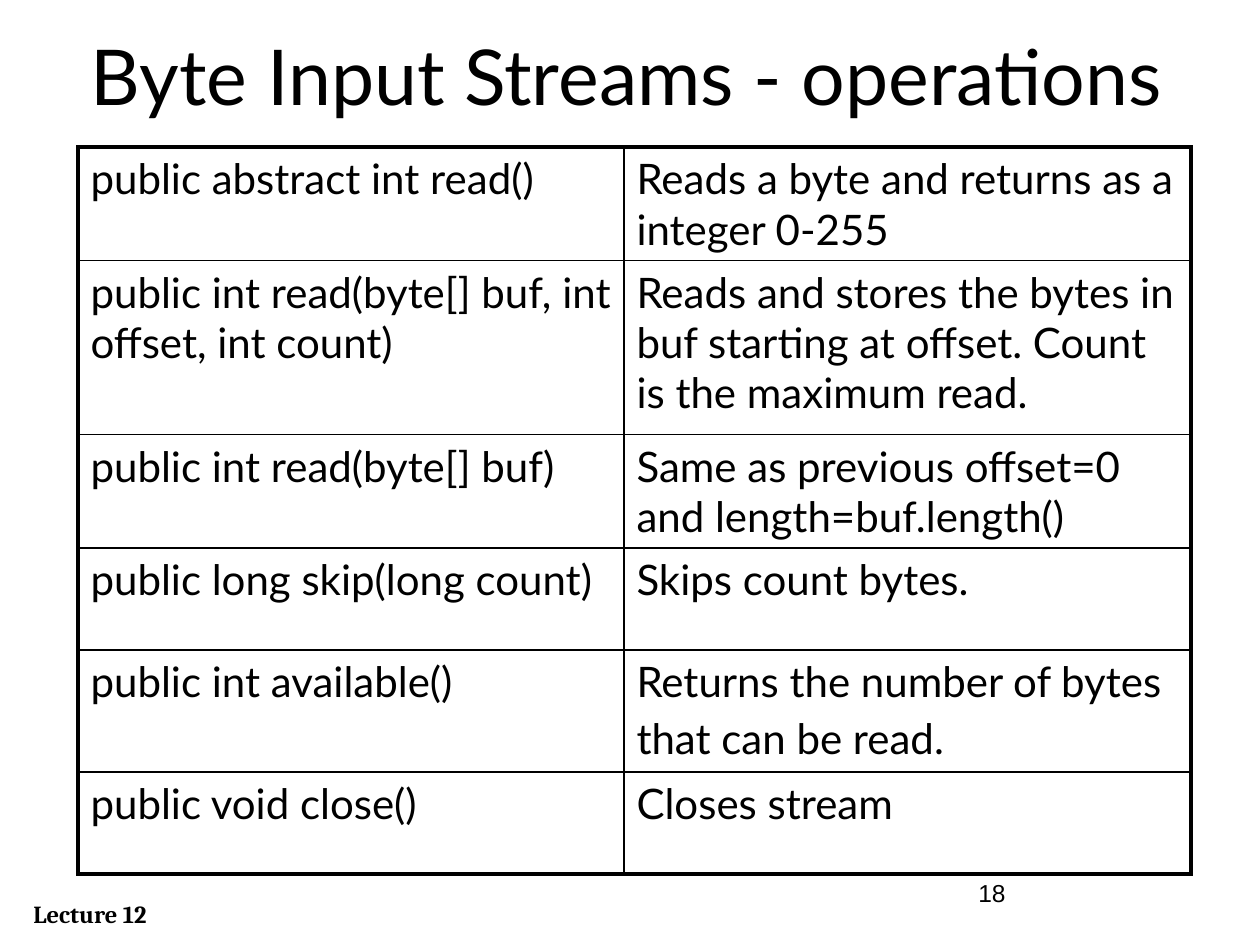
from dataclasses import dataclass

from lxml.etree import SubElement
from pptx import Presentation
from pptx.dml.color import RGBColor
from pptx.enum.text import MSO_ANCHOR, PP_ALIGN
from pptx.oxml.ns import qn
from pptx.util import Emu, Pt

PX_PER_INCH = 126


def px(n):
    return Emu(round(n * 914400 / PX_PER_INCH))


@dataclass(frozen=True)
class Theme:
    ink: str = "000000"
    paper: str = "FFFFFF"
    body_font: str = "Lato"
    footer_font: str = "Cambria"
    number_font: str = "Arial"
    title_size: int = 44
    body_size: int = 24
    wide_size: int = 28
    footer_size: int = 14
    outer_line: float = 2.25
    inner_line: float = 1


class SlideBuilder:
    def __init__(self, prs, theme):
        self.theme = theme
        self.s = prs.slides.add_slide(prs.slide_layouts[5])
        fill = self.s.background.fill
        fill.solid()
        fill.fore_color.rgb = RGBColor.from_string(theme.paper)

    def add_run(self, p, text, **values):
        r = p.add_run()
        r.text = text
        for name, value in values.items():
            setattr(r.font, name, value)
        r.font.color.rgb = RGBColor.from_string(self.theme.ink)

    def title(self, text, box):
        sp = self.s.shapes.title
        sp.left, sp.top, sp.width, sp.height = map(px, box)
        tf = sp.text_frame
        tf.vertical_anchor = MSO_ANCHOR.MIDDLE
        p = tf.paragraphs[0]
        p.alignment = PP_ALIGN.CENTER
        self.add_run(p, text, size=Pt(self.theme.title_size), name=self.theme.body_font)

    def text(self, text, box, **values):
        tf = self.s.shapes.add_textbox(*map(px, box)).text_frame
        tf.word_wrap = True
        self.add_run(tf.paragraphs[0], text, **values)

    def border(self, cell, side, width):
        tc_pr = cell._tc.get_or_add_tcPr()
        ln = SubElement(tc_pr, qn(f"a:ln{side}"), w=str(int(Pt(width))))
        fill = SubElement(ln, qn("a:solidFill"))
        SubElement(fill, qn("a:srgbClr"), val=self.theme.ink)

    def table(self, rows, left, top, widths, heights):
        t = self.theme
        frame = self.s.shapes.add_table(len(rows), len(widths), px(left), px(top),
                                        px(sum(widths)), px(sum(heights)))
        table = frame.table
        table.first_row = table.horz_banding = False
        for col, width in zip(table.columns, widths):
            col.width = px(width)
        for row, height in zip(table.rows, heights):
            row.height = px(height)
        for i, texts in enumerate(rows):
            for j, text in enumerate(texts):
                cell = table.cell(i, j)
                # Heavy line around the table, thin lines inside
                outer = {"L": j == 0, "R": j == len(widths) - 1,
                         "T": i == 0, "B": i == len(rows) - 1}
                for side, is_outer in outer.items():
                    self.border(cell, side, t.outer_line if is_outer else t.inner_line)
                cell.fill.background()
                self.add_run(cell.text_frame.paragraphs[0], text,
                             size=Pt(t.body_size), name=t.body_font)
        return table


OPERATIONS = [
    ("public abstract int read()", "Reads a byte and returns as a integer 0-255"),
    ("public int read(byte[] buf, int offset, int count)",
     "Reads and stores the bytes in buf starting at offset. Count is the maximum read."),
    ("public int read(byte[] buf)", "Same as previous offset=0 and length=buf.length()"),
    ("public long skip(long count)", "Skips count bytes."),
    ("public int available()", "Returns the number of bytes that can be read."),
    ("public void close()", "Closes stream"),
]


def main():
    prs = Presentation()
    prs.slide_width, prs.slide_height = px(1260), px(945)
    theme = Theme()
    slide = SlideBuilder(prs, theme)

    # Title
    slide.title("Byte Input Streams - operations", (21, 21, 1212, 107))

    # Operations table
    table = slide.table(OPERATIONS, 78, 147, (546, 567), (113, 174, 113, 102, 122, 102))
    # A larger closing space opens up the last line of this cell
    slide.add_run(table.cell(4, 1).text_frame.paragraphs[0], " ",
                  size=Pt(theme.wide_size), name=theme.body_font)

    # Footer and slide number
    size = Pt(theme.footer_size)
    slide.text("Lecture 12", (21, 893, 252, 43), size=size, name=theme.footer_font, bold=True)
    slide.text("18", (966, 872, 262, 63), size=size, name=theme.number_font)

    prs.save("out.pptx")


if __name__ == "__main__":
    main()
